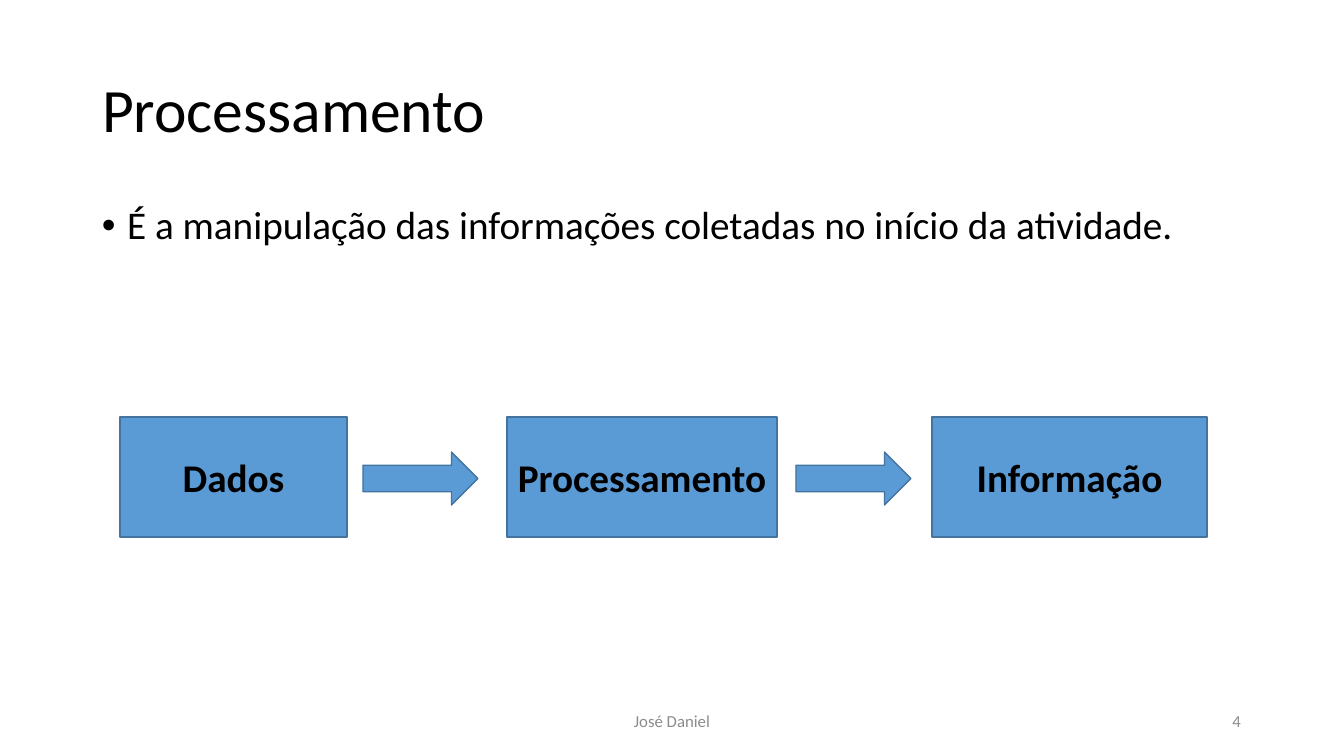
import pptx
import pptx.util
import pptx.dml.color
import pptx.enum.shapes
import pptx.enum.text
import pptx.oxml.ns
import lxml.etree

RGB = pptx.dml.color.RGBColor
SHAPE = pptx.enum.shapes.MSO_SHAPE
ALIGN = pptx.enum.text.PP_ALIGN
ANCHOR = pptx.enum.text.MSO_ANCHOR

BLACK = RGB(0x00, 0x00, 0x00)
GREY = RGB(0x8C, 0x8C, 0x8C)
BLUE = RGB(0x5B, 0x9B, 0xD5)
DARK_BLUE = RGB(0x43, 0x73, 0x9E)
FONT = "Calibri"
EMU_PER_PX = 914400 / 100.8


def px(*lengths):
    return [pptx.util.Emu(round(n * EMU_PER_PX)) for n in lengths]


def write(s, text, size, color=BLACK, bold=False, align=ALIGN.LEFT, anchor=ANCHOR.MIDDLE):
    tf = s.text_frame
    tf.word_wrap = True
    tf.auto_size = pptx.enum.text.MSO_AUTO_SIZE.NONE
    tf.vertical_anchor = anchor
    p = tf.paragraphs[0]
    p.alignment = align
    r = p.add_run()
    r.text = text
    r.font.name = FONT
    r.font.size = pptx.util.Pt(size)
    r.font.bold = bold
    r.font.color.rgb = color
    return p


def add_title(slide, text, box):
    s = slide.shapes.title
    s.left, s.top, s.width, s.height = px(*box)
    write(s, text, 44).line_spacing = 0.9


def add_text(slide, text, box, size, **style):
    return write(slide.shapes.add_textbox(*px(*box)), text, size, **style)


def add_bullet(slide, text, box):
    p = add_text(slide, text, box, 28, anchor=ANCHOR.TOP)
    p.line_spacing = 0.9
    p.space_before = pptx.util.Pt(10)
    pPr = p._p.get_or_add_pPr()
    indent = pptx.util.Inches(0.25)
    pPr.set("marL", str(indent))
    pPr.set("indent", str(-indent))
    qn = pptx.oxml.ns.qn
    lxml.etree.SubElement(pPr, qn("a:buFont")).set("typeface", "Arial")
    lxml.etree.SubElement(pPr, qn("a:buChar")).set("char", "•")


def add_blue_shape(slide, kind, box):
    s = slide.shapes.add_shape(kind, *px(*box))
    s.shadow.inherit = False
    s.fill.solid()
    s.fill.fore_color.rgb = BLUE
    s.line.color.rgb = DARK_BLUE
    s.line.width = pptx.util.Pt(1)
    return s


def main():
    prs = pptx.Presentation()
    prs.slide_width, prs.slide_height = px(1344, 756)
    slide = prs.slides.add_slide(prs.slide_layouts[5])

    # Title and definition
    add_title(slide, "Processamento", (92, 40, 1159, 146))
    add_bullet(slide, "É a manipulação das informações coletadas no início da atividade.",
               (92, 201, 1159, 480))

    # Flow from data to information
    steps = [("Dados", 120, 227), ("Processamento", 507, 270), ("Informação", 932, 275)]
    for label, left, width in steps:
        s = add_blue_shape(slide, SHAPE.RECTANGLE, (left, 417, width, 120))
        write(s, label, 28, bold=True, align=ALIGN.CENTER)
    for left in (363, 796):
        add_blue_shape(slide, SHAPE.RIGHT_ARROW, (left, 452, 115, 53))

    # Footer
    add_text(slide, "José Daniel", (445, 701, 454, 40), 12, color=GREY, align=ALIGN.CENTER)
    add_text(slide, "4", (949, 701, 302, 40), 12, color=GREY, align=ALIGN.RIGHT)

    prs.save("out.pptx")


main()
